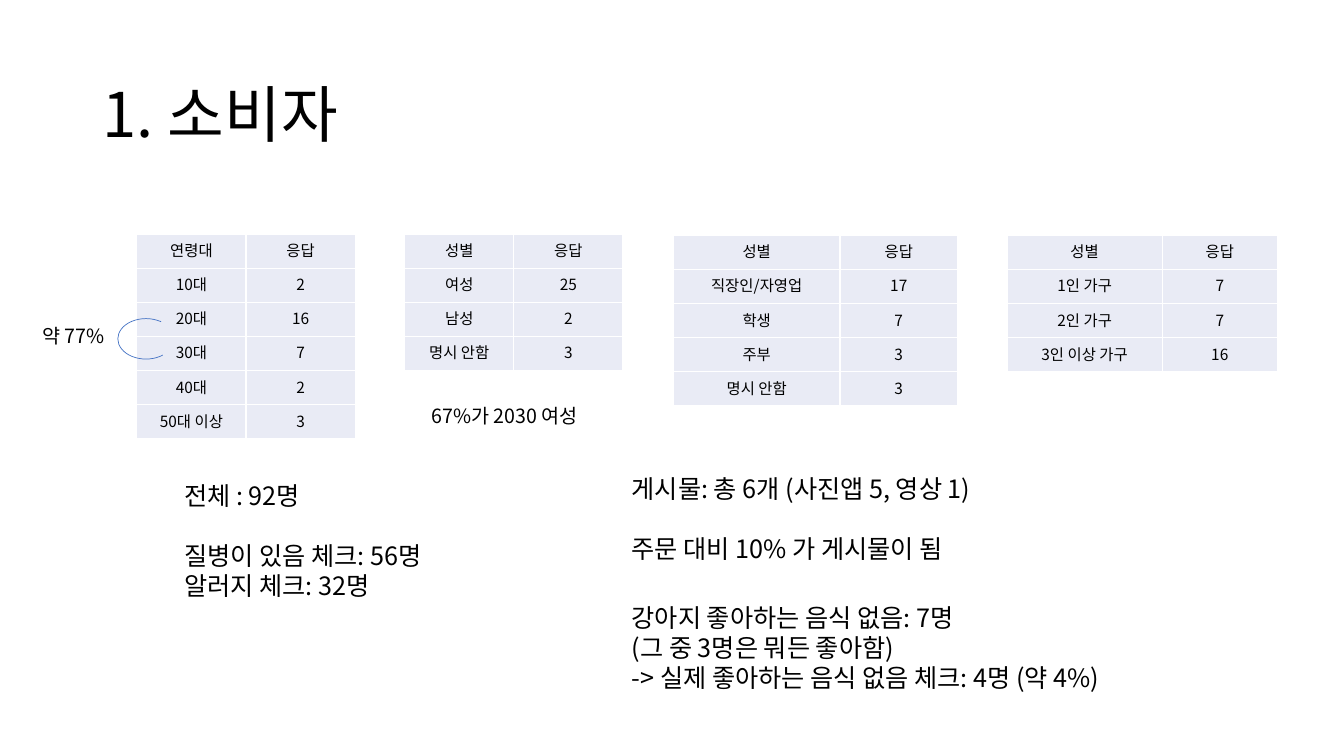
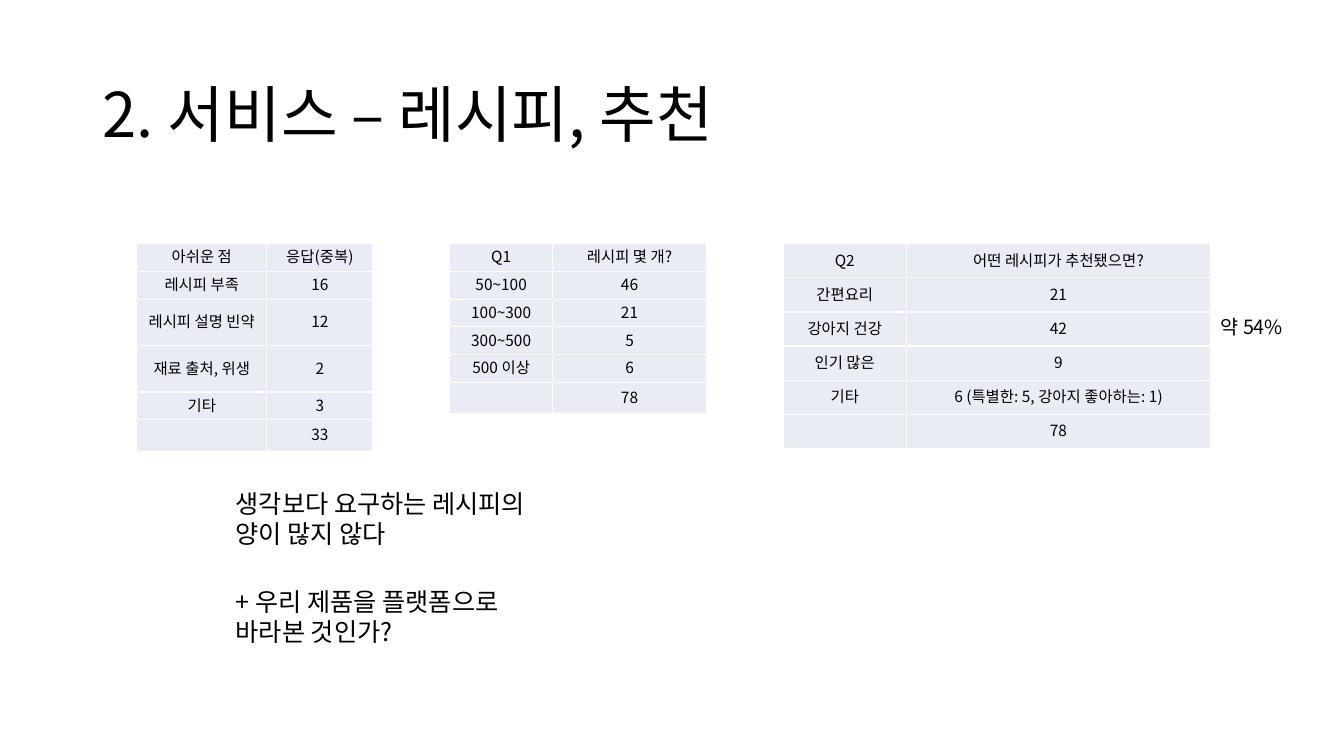
from dataclasses import dataclass

from lxml import etree
from pptx import Presentation
from pptx.dml.color import RGBColor
from pptx.enum.shapes import MSO_SHAPE
from pptx.enum.text import MSO_ANCHOR, PP_ALIGN
from pptx.oxml.ns import qn
from pptx.util import Cm, Pt

ARC = MSO_SHAPE.ARC
TOP, MIDDLE = MSO_ANCHOR.TOP, MSO_ANCHOR.MIDDLE
LEFT, CENTER = PP_ALIGN.LEFT, PP_ALIGN.CENTER


@dataclass(frozen=True)
class Theme:
    font: str = "Noto Sans CJK KR"
    text: str = "000000"
    cell: str = "E9EBF5"
    border: str = "FFFFFF"
    accent: str = "4472C4"
    title_size: float = 44
    body_size: float = 18
    note_size: float = 14
    table_size: float = 11
    line_height: float = 1.19
    border_width: float = 1
    arc_width: float = 0.5


THEME = Theme()
ROW = 0.86
SHORT_ROW = 0.7
TALL_ROW = 1.17


@dataclass(frozen=True)
class Box:
    left: float
    top: float
    width: float
    height: float

    def lengths(self) -> tuple[Cm, Cm, Cm, Cm]:
        return Cm(self.left), Cm(self.top), Cm(self.width), Cm(self.height)


@dataclass(frozen=True)
class Text:
    """Groups of lines; one line of space separates the groups."""
    box: Box
    groups: list[list[str]]
    size: float = THEME.body_size
    anchor: MSO_ANCHOR = TOP


@dataclass(frozen=True)
class Table:
    left: float
    top: float
    columns: list[float]
    rows: list[float]
    cells: list[tuple[str, str]]


@dataclass(frozen=True)
class Page:
    title: str
    tables: list[Table]
    texts: list[Text]
    arcs: list[Box]


TITLE_BOX = Box(2.34, 1.02, 29.21, 3.68)

PAGES = [
    Page(
        "1. 소비자",
        [
            Table(3.45, 5.9, [2.75, 2.75], [ROW] * 6, [
                ("연령대", "응답"), ("10대", "2"), ("20대", "16"),
                ("30대", "7"), ("40대", "2"), ("50대 이상", "3"),
            ]),
            Table(10.2, 5.9, [2.75, 2.75], [ROW] * 4, [
                ("성별", "응답"), ("여성", "25"), ("남성", "2"), ("명시 안함", "3"),
            ]),
            Table(16.97, 5.93, [4.2, 2.96], [ROW] * 5, [
                ("성별", "응답"), ("직장인/자영업", "17"), ("학생", "7"),
                ("주부", "3"), ("명시 안함", "3"),
            ]),
            Table(25.38, 5.93, [3.91, 2.9], [ROW] * 4, [
                ("성별", "응답"), ("1인 가구", "7"), ("2인 가구", "7"),
                ("3인 이상 가구", "16"),
            ]),
        ],
        [
            Text(Box(4.39, 11.99, 10.24, 3.33), [
                ["전체 : 92명"],
                ["질병이 있음 체크: 56명", "알러지 체크: 32명"],
            ]),
            Text(Box(15.67, 11.81, 10.77, 2.57), [
                ["게시물: 총 6개 (사진앱 5, 영상 1)"],
                ["주문 대비 10% 가 게시물이 됨"],
            ]),
            Text(Box(0.81, 8.03, 2.41, 0.86), [["약 77%"]], THEME.note_size),
            Text(Box(10.62, 10.06, 5.49, 0.86), [["67%가 2030 여성"]], THEME.note_size),
            Text(Box(15.67, 15.06, 15.06, 2.57), [[
                "강아지 좋아하는 음식 없음: 7명",
                "(그 중 3명은 뭐든 좋아함)",
                "-> 실제 좋아하는 음식 없음 체크: 4명 (약 4%)",
            ]]),
        ],
        [Box(2.97, 8.03, 1.42, 1.02)],
    ),
    Page(
        "2. 서비스 – 레시피, 추천",
        [
            Table(3.45, 6.14, [3.27, 2.68],
                  [SHORT_ROW] * 2 + [TALL_ROW] * 2 + [SHORT_ROW] * 2, [
                ("아쉬운 점", "응답(중복)"), ("레시피 부족", "16"),
                ("레시피 설명 빈약", "12"), ("재료 출처, 위생", "2"),
                ("기타", "3"), ("", "33"),
            ]),
            Table(11.33, 6.14, [2.6, 3.87], [SHORT_ROW] * 6, [
                ("Q1", "레시피 몇 개?"), ("50~100", "46"), ("100~300", "21"),
                ("300~500", "5"), ("500 이상", "6"), ("", "78"),
            ]),
            Table(19.74, 6.14, [3.1, 7.67], [ROW] * 6, [
                ("Q2", "어떤 레시피가 추천됐으면?"), ("간편요리", "21"),
                ("강아지 건강", "42"), ("인기 많은", "9"),
                ("기타", "6 (특별한: 5, 강아지 좋아하는: 1)"), ("", "78"),
            ]),
        ],
        [
            Text(Box(5.69, 12.19, 8.97, 1.8), [["생각보다 요구하는 레시피의 양이 많지 않다"]]),
            Text(Box(5.69, 14.66, 8.43, 1.8), [["+ 우리 제품을 플랫폼으로 바라본 것인가?"]]),
            Text(Box(30.51, 7.82, 2.41, 0.86), [["약 54%"]], THEME.note_size),
        ],
        [],
    ),
]


def color(value: str) -> RGBColor:
    return RGBColor.from_string(value)


def write_line(paragraph, text: str, size: float, alignment: PP_ALIGN = LEFT) -> None:
    paragraph.alignment = alignment
    paragraph.line_spacing = Pt(round(size * THEME.line_height, 1))
    if not text:
        return
    run = paragraph.add_run()
    run.text = text
    run.font.name = THEME.font
    run.font.size = Pt(size)
    run.font.color.rgb = color(THEME.text)
    east_asian = etree.SubElement(run.font._element, qn("a:ea"))
    east_asian.set("typeface", THEME.font)


def add_text(slide, text: Text) -> None:
    frame = slide.shapes.add_textbox(*text.box.lengths()).text_frame
    frame.word_wrap = True
    frame.vertical_anchor = text.anchor
    paragraph = frame.paragraphs[0]
    for group_index, group in enumerate(text.groups):
        for line_index, line in enumerate(group):
            if group_index or line_index:
                paragraph = frame.add_paragraph()
            write_line(paragraph, line, text.size)
            if group_index and not line_index:
                paragraph.space_before = paragraph.line_spacing


def add_borders(cell) -> None:
    properties = cell._tc.get_or_add_tcPr()
    for position, side in enumerate(("a:lnL", "a:lnR", "a:lnT", "a:lnB")):
        line = etree.Element(qn(side), w=str(Pt(THEME.border_width)))
        fill = etree.SubElement(line, qn("a:solidFill"))
        etree.SubElement(fill, qn("a:srgbClr"), val=THEME.border)
        properties.insert(position, line)


def add_survey_table(slide, survey: Table) -> None:
    box = Box(survey.left, survey.top, sum(survey.columns), sum(survey.rows))
    table = slide.shapes.add_table(
        len(survey.rows), len(survey.columns), *box.lengths()).table
    table.first_row = table.horz_banding = False
    for column, width in zip(table.columns, survey.columns):
        column.width = Cm(width)
    for row, height, values in zip(table.rows, survey.rows, survey.cells):
        row.height = Cm(height)
        for cell, value in zip(row.cells, values):
            cell.margin_left = cell.margin_right = cell.margin_top = Cm(0.03)
            cell.margin_bottom = 0
            cell.vertical_anchor = MIDDLE
            cell.fill.solid()
            cell.fill.fore_color.rgb = color(THEME.cell)
            add_borders(cell)
            write_line(cell.text_frame.paragraphs[0], value, THEME.table_size, CENTER)


def add_arc(slide, box: Box) -> None:
    """Draw an arc that opens to the right."""
    arc = slide.shapes.add_shape(ARC, *box.lengths())
    arc.adjustments[0] = 26.37
    arc.adjustments[1] = 186.93
    arc.shadow.inherit = False
    arc.fill.background()
    arc.line.color.rgb = color(THEME.accent)
    arc.line.width = Pt(THEME.arc_width)


def build_page(presentation, page: Page) -> None:
    slide = presentation.slides.add_slide(presentation.slide_layouts[6])
    add_text(slide, Text(TITLE_BOX, [[page.title]], THEME.title_size, MIDDLE))
    for table in page.tables:
        add_survey_table(slide, table)
    for arc in page.arcs:
        add_arc(slide, arc)
    for text in page.texts:
        add_text(slide, text)


def main() -> None:
    presentation = Presentation()
    presentation.slide_width = Cm(33.87)
    presentation.slide_height = Cm(19.05)
    for page in PAGES:
        build_page(presentation, page)
    presentation.save("out.pptx")


if __name__ == "__main__":
    main()
